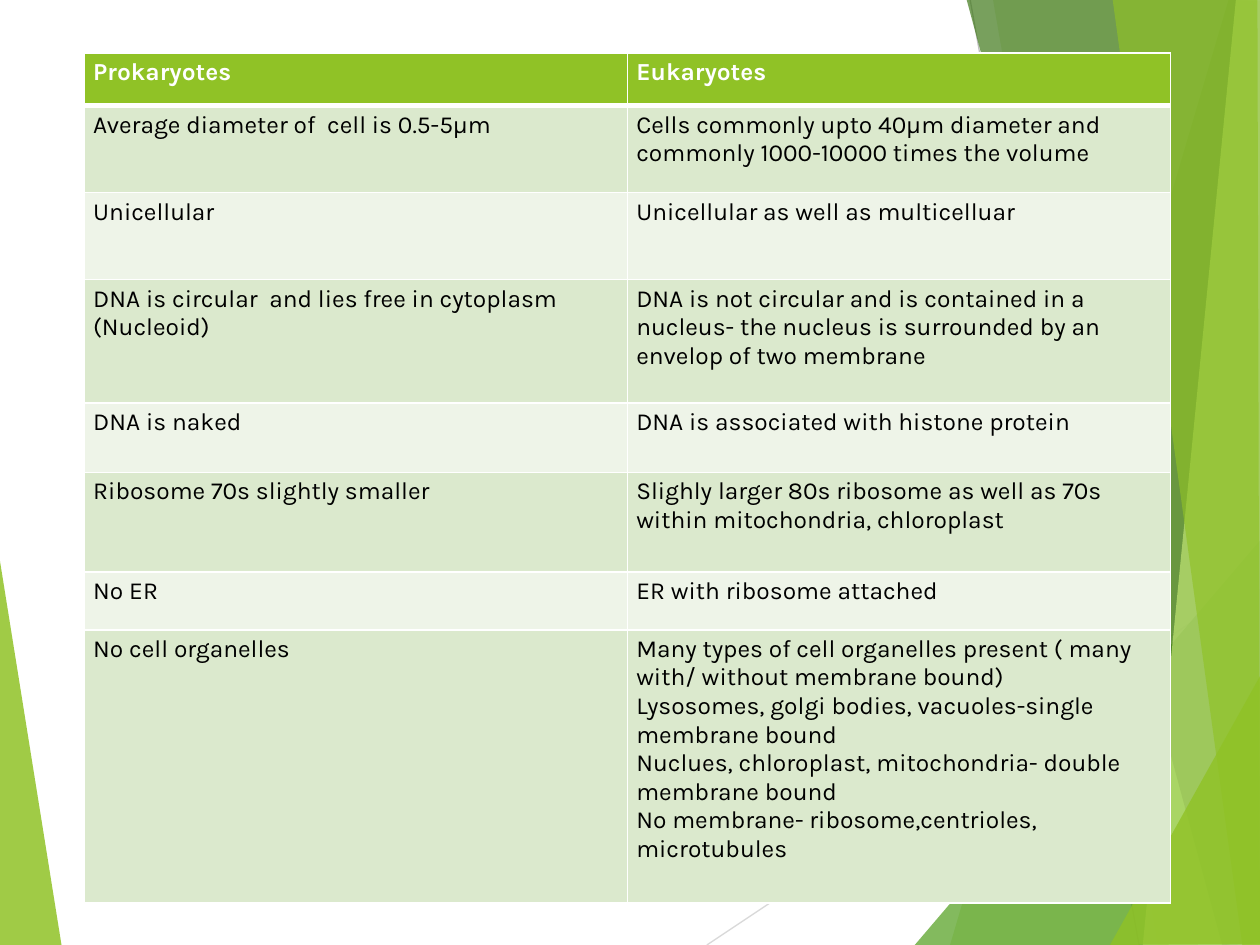
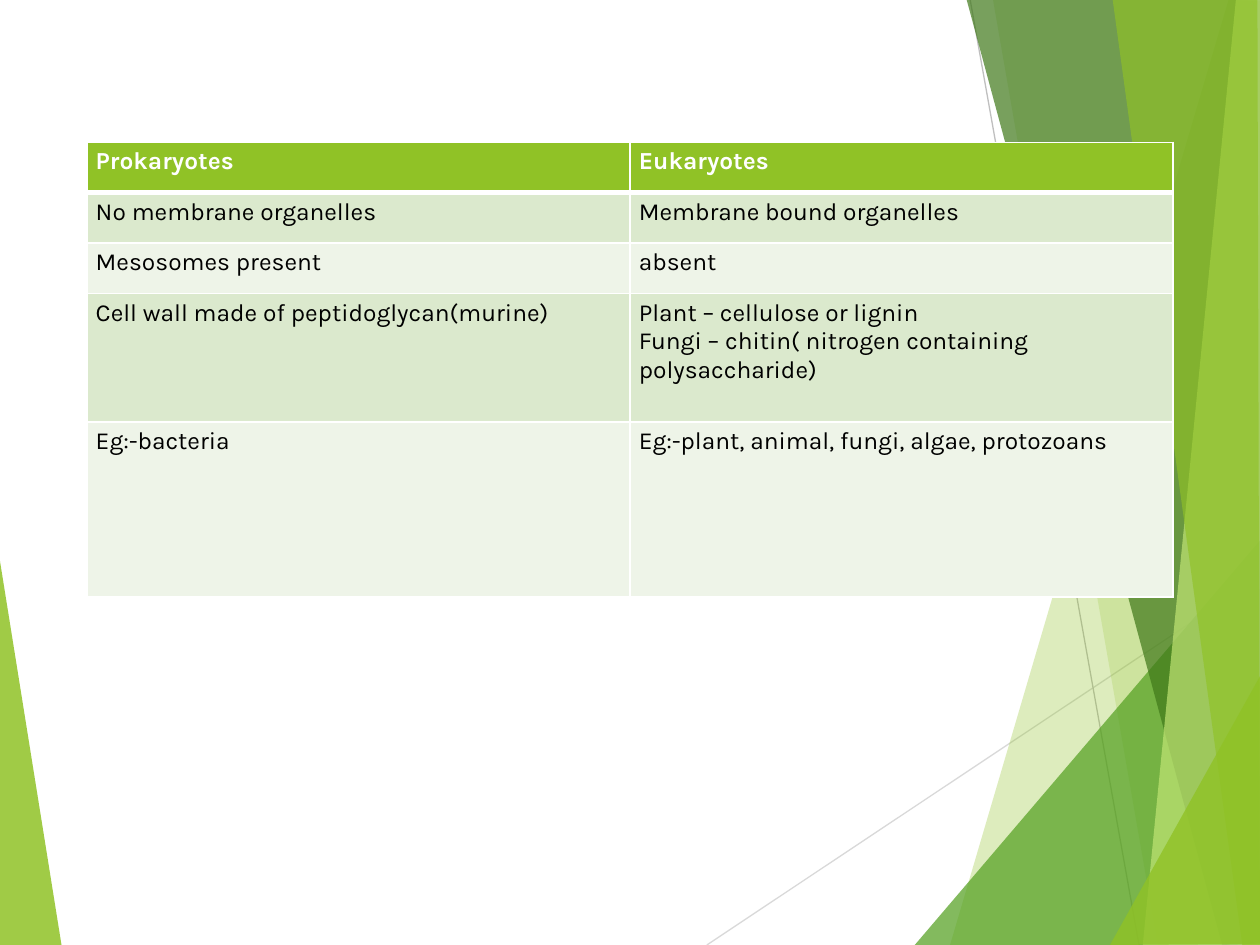
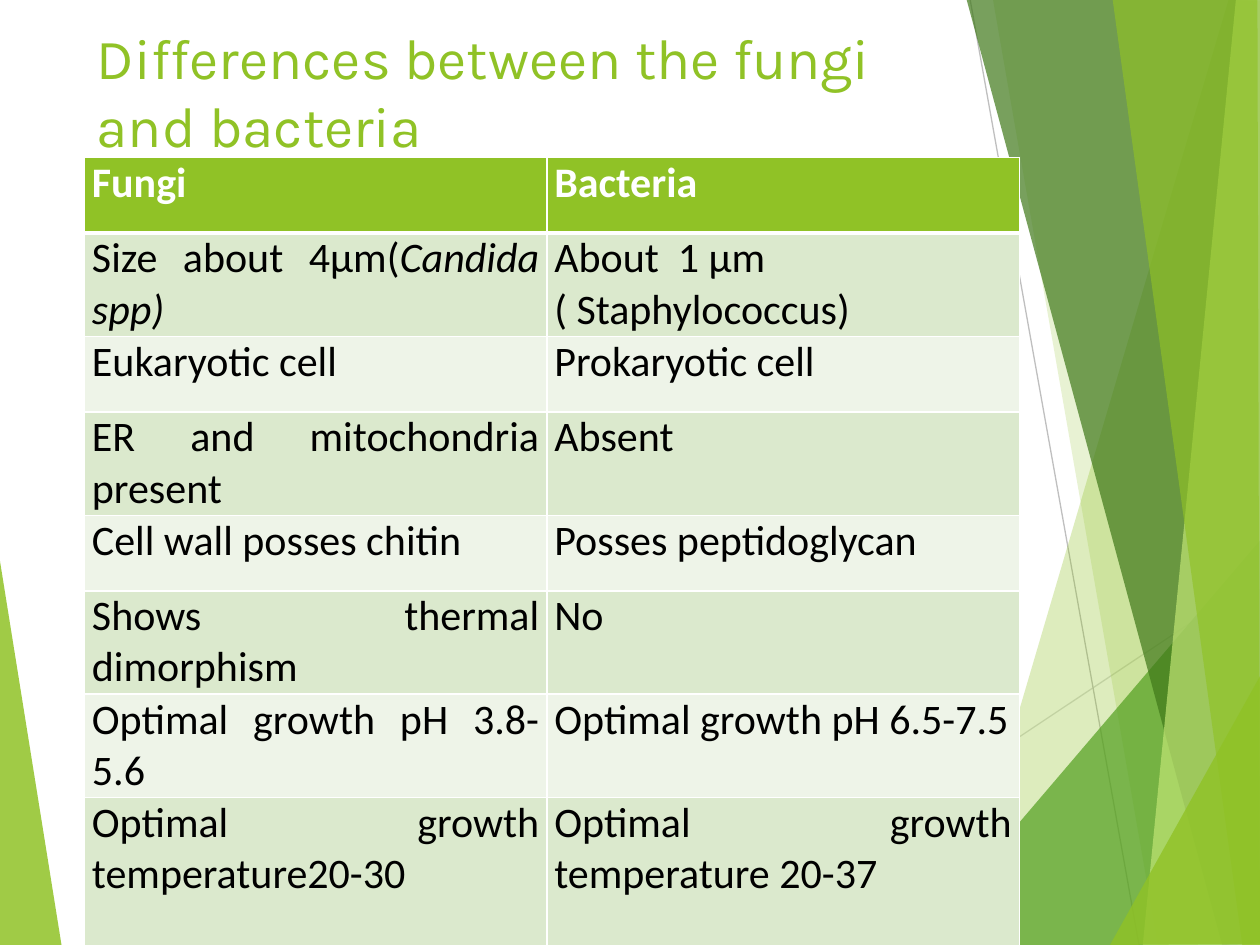
from lxml.etree import SubElement
from pptx import Presentation
from pptx.dml.color import RGBColor
from pptx.enum.shapes import MSO_CONNECTOR
from pptx.enum.text import MSO_ANCHOR, PP_ALIGN
from pptx.oxml import parse_xml
from pptx.oxml.ns import nsdecls, qn
from pptx.util import Inches, Pt

COLORS = {
    "lime": "90C226",
    "green": "54A021",
    "forest": "3F7819",
    "pale lime": "C0E474",
    "light grey": "D9D9D9",
    "grey": "BFBFBF",
    "dark band": "DBE9CD",
    "light band": "EEF4E8",
    "white": "FFFFFF",
    "black": "000000",
}

BACKGROUND_LINES = [
    ((5.61, 7.5), (10.01, 4.57), "light grey"),
    ((7.7, 0), (9.04, 7.5), "grey"),
]
LEFT_FACET = ([(-0.01, 4.39), (0.49, 7.51), (-0.01, 7.5)], "lime", 85)
RIGHT_FACETS = [
    ([(9.75, 0), (7.54, 7.5), (10.02, 7.51), (10.01, 0.01)], "lime", 30),
    ([(7.88, -0.01), (9.19, 7.5), (10.01, 7.5), (10.01, -0.01)], "lime", 20),
    ([(7.26, 7.5), (10, 4.29), (10.01, 7.5)], "green", 72),
    ([(7.67, -0.01), (9.7, 7.5), (10.01, 7.49), (10.01, -0.01)], "forest", 70),
    ([(9.81, -0.01), (9.07, 7.5), (10.01, 7.5), (10, -0.01)], "pale lime", 70),
    ([(8.83, -0.01), (9.86, 7.5), (10, 7.5), (9.98, -0.01)], "lime", 65),
    ([(8.81, 7.5), (10.01, 5.35), (10.01, 7.49)], "lime", 80),
]

KARLA_STYLE = {"font_name": "Karla", "size": 14, "margins": (0.07, 0.04),
               "alignment": PP_ALIGN.LEFT}
CALIBRI_STYLE = {"font_name": "Calibri", "size": 24, "margins": (0.06, 0),
                 "alignment": PP_ALIGN.JUSTIFY}

CELL_TYPES = [
    ("Prokaryotes", "Eukaryotes"),
    ("Average diameter of  cell is 0.5-5µm",
     "Cells commonly upto 40µm diameter and commonly 1000-10000 times the volume"),
    ("Unicellular", "Unicellular as well as multicelluar"),
    ("DNA is circular  and lies free in cytoplasm\n(Nucleoid)",
     "DNA is not circular and is contained in a nucleus- the nucleus is "
     "surrounded by an envelop of two membrane"),
    ("DNA is naked", "DNA is associated with histone protein"),
    ("Ribosome 70s slightly smaller",
     "Slighly larger 80s ribosome as well as 70s within mitochondria, chloroplast"),
    ("No ER", "ER with ribosome attached"),
    ("No cell organelles",
     "Many types of cell organelles present ( many with/ without membrane bound)\n"
     "Lysosomes, golgi bodies, vacuoles-single membrane bound\n"
     "Nuclues, chloroplast, mitochondria- double membrane bound\n"
     "No membrane- ribosome,centrioles, microtubules"),
]
MORE_CELL_TYPES = [
    ("Prokaryotes", "Eukaryotes"),
    ("No membrane organelles", "Membrane bound organelles"),
    ("Mesosomes present", "absent"),
    ("Cell wall made of peptidoglycan(murine)",
     "Plant – cellulose or lignin\n"
     "Fungi – chitin( nitrogen containing polysaccharide)"),
    ("Eg:-bacteria", "Eg:-plant, animal, fungi, algae, protozoans"),
]
FUNGI_AND_BACTERIA = [
    ("Fungi", "Bacteria"),
    ("Size about 4µm(", "About  1 µm\n( Staphylococcus)"),
    ("Eukaryotic cell", "Prokaryotic cell"),
    ("ER and mitochondria present", "Absent"),
    ("Cell wall posses chitin", "Posses peptidoglycan"),
    ("Shows thermal dimorphism", "No"),
    ("Optimal growth pH 3.8-5.6", "Optimal growth pH 6.5-7.5"),
    ("Optimal growth temperature20-30", "Optimal growth temperature 20-37"),
]


def color(name):
    return RGBColor.from_string(COLORS[name])


def add_facet(slide, points, color_name, opacity):
    """Draw a borderless polygon; opacity is a percentage."""
    corners = [(Inches(x), Inches(y)) for x, y in points]
    builder = slide.shapes.build_freeform(*corners[0])
    builder.add_line_segments(corners[1:], close=True)
    shape = builder.convert_to_shape()
    shape.shadow.inherit = False
    shape.line.fill.background()
    shape.fill.solid()
    shape.fill.fore_color.rgb = color(color_name)
    fill_color = shape._element.spPr.find(qn("a:solidFill"))[0]
    SubElement(fill_color, qn("a:alpha"), val=str(opacity * 1000))


def add_line(slide, start, end, color_name):
    ends = [Inches(length) for length in (*start, *end)]
    connector = slide.shapes.add_connector(MSO_CONNECTOR.STRAIGHT, *ends)
    connector.line.color.rgb = color(color_name)
    connector.line.width = Pt(0.75)
    SubElement(connector._element.spPr, qn("a:effectLst"))


def add_faceted_slide(presentation):
    slide = presentation.slides.add_slide(presentation.slide_layouts[6])
    add_facet(slide, *LEFT_FACET)
    for line in BACKGROUND_LINES:
        add_line(slide, *line)
    for facet in RIGHT_FACETS:
        add_facet(slide, *facet)
    return slide


def add_title(slide, text):
    box = slide.shapes.add_textbox(Inches(0.67), 0, Inches(6.94), Inches(1.41))
    frame = box.text_frame
    frame.word_wrap = True
    frame.vertical_anchor = MSO_ANCHOR.BOTTOM
    frame.margin_bottom = Inches(0.15)
    frame.text = text
    font = frame.paragraphs[0].font
    font.name, font.size = "Karla", Pt(32.4)
    font.color.rgb = color("lime")


def set_borders(cell, top, bottom):
    """Give a filled cell white borders; top and bottom are widths in points."""
    properties = cell._tc.get_or_add_tcPr()
    widths = {"lnL": 1, "lnR": 1, "lnT": top, "lnB": bottom}
    for position, (tag, width) in enumerate(widths.items()):
        properties.insert(position, parse_xml(
            f'<a:{tag} {nsdecls("a")} w="{Pt(width)}"><a:solidFill>'
            f'<a:srgbClr val="{COLORS["white"]}"/></a:solidFill></a:{tag}>'))


def fill_cell(cell, text, row_index, style):
    is_header = row_index == 0
    band = "dark band" if row_index % 2 else "light band"
    cell.fill.solid()
    cell.fill.fore_color.rgb = color("lime" if is_header else band)
    set_borders(cell, top=3 if row_index == 1 else 1, bottom=3 if is_header else 1)
    side, end = style["margins"]
    cell.margin_left = cell.margin_right = Inches(side)
    cell.margin_top = cell.margin_bottom = Inches(end)
    cell.text = text
    for paragraph in cell.text_frame.paragraphs:
        paragraph.alignment = style["alignment"]
        font = paragraph.font
        font.name, font.size = style["font_name"], Pt(style["size"])
        font.bold = is_header
        font.color.rgb = color("white" if is_header else "black")


def add_comparison(slide, left, top, column_widths, row_heights, rows, style):
    frame = slide.shapes.add_table(
        len(rows), len(column_widths), Inches(left), Inches(top),
        Inches(sum(column_widths)), Inches(sum(row_heights)))
    table = frame.table
    table.horz_banding = False
    for column, width in zip(table.columns, column_widths):
        column.width = Inches(width)
    for row_index, (height, texts) in enumerate(zip(row_heights, rows)):
        table.rows[row_index].height = Inches(height)
        for column_index, text in enumerate(texts):
            fill_cell(table.cell(row_index, column_index), text, row_index, style)
    return table


def main():
    presentation = Presentation()
    presentation.slide_width = Inches(10)
    presentation.slide_height = Inches(7.5)

    slide = add_faceted_slide(presentation)
    add_comparison(slide, 0.67, 0.42, [4.31, 4.31],
                   [0.42, 0.69, 0.69, 0.98, 0.55, 0.79, 0.46, 2.17],
                   CELL_TYPES, KARLA_STYLE)

    slide = add_faceted_slide(presentation)
    add_comparison(slide, 0.69, 1.13, [4.31, 4.31], [0.4, 0.4, 0.4, 1.02, 1.39],
                   MORE_CELL_TYPES, KARLA_STYLE)

    slide = add_faceted_slide(presentation)
    add_title(slide, "Differences between the fungi and bacteria")
    table = add_comparison(slide, 0.67, 1.25, [3.67, 3.75],
                           [0.6, 0.82, 0.6, 0.82, 0.6, 0.82, 0.82, 1.18],
                           FUNGI_AND_BACTERIA, CALIBRI_STYLE)
    species = table.cell(1, 0).text_frame.paragraphs[0].add_run()
    species.text = "Candida spp)"
    species.font.italic = True

    presentation.save("out.pptx")


if __name__ == "__main__":
    main()
